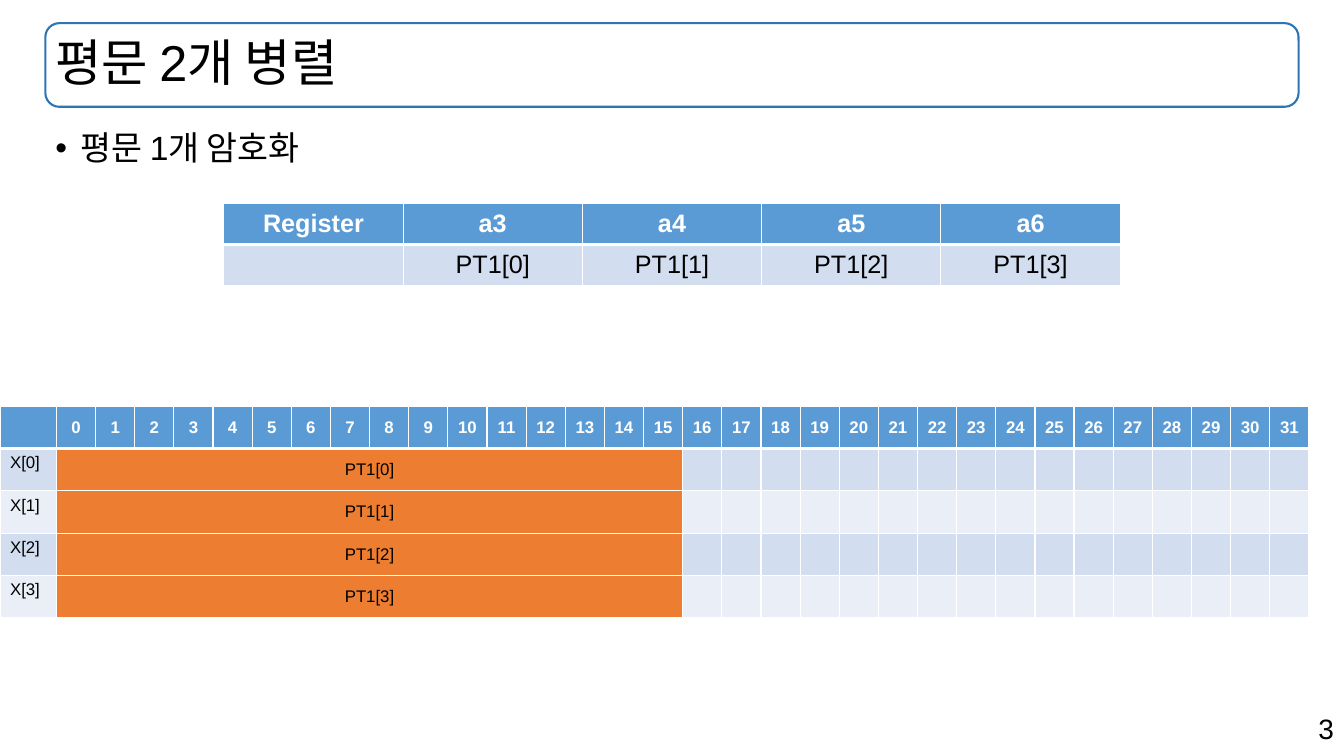
from lxml.etree import SubElement
from pptx import Presentation
from pptx.dml.color import RGBColor
from pptx.enum.shapes import MSO_SHAPE as Preset
from pptx.enum.text import MSO_ANCHOR as Anchor, MSO_AUTO_SIZE as AutoSize, PP_ALIGN as Align
from pptx.oxml.ns import qn
from pptx.util import Inches, Pt

BLACK = RGBColor(0x00, 0x00, 0x00)
WHITE = RGBColor(0xFF, 0xFF, 0xFF)
FRAME_BLUE = RGBColor(0x2E, 0x75, 0xB6)
HEADER_BLUE = RGBColor(0x5B, 0x9B, 0xD5)
BAND_DARK = RGBColor(0xD2, 0xDE, 0xEF)
BAND_LIGHT = RGBColor(0xEA, 0xEF, 0xF7)
PLAINTEXT_ORANGE = RGBColor(0xED, 0x7D, 0x31)

TITLE_BOX = (0.45, 0.23, 12.43, 0.83)
WORDS = 4
BYTES = 32
BLOCK_BYTES = 16


def write(frame, text, size, color=BLACK, bold=False, align=Align.LEFT,
          line_spacing=None, bullet=None, font="Arial"):
    paragraph = frame.paragraphs[0]
    paragraph.alignment = align
    paragraph.line_spacing = line_spacing
    if bullet:
        properties = paragraph._p.get_or_add_pPr()
        properties.set("marL", str(Inches(0.25)))
        properties.set("indent", str(-Inches(0.25)))
        SubElement(properties, qn("a:buFont"), typeface=font)
        SubElement(properties, qn("a:buChar"), char=bullet)
    run = paragraph.add_run()
    run.text = text
    run.font.name = font
    run.font.size = Pt(size)
    run.font.bold = bold
    run.font.color.rgb = color


def add_borders(cell, top, bottom):
    """Draw white borders, one point wide at the sides."""
    properties = cell._tc.get_or_add_tcPr()
    for side, points in (("L", 1), ("R", 1), ("T", top), ("B", bottom)):
        line = SubElement(properties, qn(f"a:ln{side}"), w=str(Pt(points)))
        fill = SubElement(line, qn("a:solidFill"))
        SubElement(fill, qn("a:srgbClr"), val=str(WHITE))


class SlideBuilder:
    def __init__(self, slide):
        self.slide = slide

    def text(self, box, text, size, anchor=Anchor.TOP, grow=False, **style):
        frame = self.slide.shapes.add_textbox(*map(Inches, box)).text_frame
        frame.word_wrap = True
        frame.vertical_anchor = anchor
        frame.auto_size = AutoSize.SHAPE_TO_FIT_TEXT if grow else AutoSize.NONE
        write(frame, text, size, **style)

    def rounded_frame(self, box):
        shape = self.slide.shapes.add_shape(Preset.ROUNDED_RECTANGLE, *map(Inches, box))
        shape.shadow.inherit = False
        shape.fill.background()
        shape.line.color.rgb = FRAME_BLUE
        shape.line.width = Pt(1.5)

    def table(self, box, rows, widths):
        """Add a banded table with a header row and white grid lines."""
        table = self.slide.shapes.add_table(
            len(rows), len(widths), *map(Inches, box)).table
        for column, width in zip(table.columns, widths):
            column.width = Inches(width)
        for index, row in enumerate(table.rows):
            row.height = Inches(box[3] / len(rows))
            band = BAND_DARK if index % 2 else BAND_LIGHT
            for cell in row.cells:
                add_borders(cell, top=3 if index == 1 else 1, bottom=1 if index else 3)
                cell.fill.solid()
                cell.fill.fore_color.rgb = band if index else HEADER_BLUE
        return table

    def cell(self, cell, text, size, header=False, centered=True):
        if centered:
            cell.vertical_anchor = Anchor.MIDDLE
        write(cell.text_frame, text, size, color=WHITE if header else BLACK,
              bold=header, align=Align.CENTER if centered else Align.LEFT)

    def register_table(self):
        rows = [["Register"] + [f"a{word + 3}" for word in range(WORDS)],
                [""] + [f"PT1[{word}]" for word in range(WORDS)]]
        table = self.table((2.22, 2.02, 8.89, 0.81), rows, [8.89 / 5] * 5)
        for row_index, row in enumerate(rows):
            for column_index, text in enumerate(row):
                if text:
                    self.cell(table.cell(row_index, column_index), text, 18,
                              header=row_index == 0)

    def state_table(self):
        label_width, total_width = 0.56, 12.99
        byte_width = (total_width - label_width) / BYTES
        table = self.table((0, 4.03, total_width, 2.1), range(WORDS + 1),
                           [label_width] + [byte_width] * BYTES)
        for byte in range(BYTES):
            self.cell(table.cell(0, byte + 1), str(byte), 12, header=True)
        for word in range(WORDS):
            row = word + 1
            self.cell(table.cell(row, 0), f"X[{word}]", 12, centered=False)
            block = table.cell(row, 1)
            block.merge(table.cell(row, BLOCK_BYTES))
            block.fill.fore_color.rgb = PLAINTEXT_ORANGE
            self.cell(block, f"PT1[{word}]", 12)


def main():
    presentation = Presentation()
    presentation.slide_width = Inches(13.33)
    presentation.slide_height = Inches(7.5)
    builder = SlideBuilder(presentation.slides.add_slide(presentation.slide_layouts[6]))
    builder.text((9.43, 7.01, 3.9, 0.44), "3", 20, grow=True, align=Align.RIGHT)
    builder.rounded_frame(TITLE_BOX)
    builder.text(TITLE_BOX, "평문 2개 병렬", 36, anchor=Anchor.MIDDLE, line_spacing=0.9)
    builder.text((0.45, 1.26, 12.43, 5.53), "평문 1개 암호화", 24,
                 line_spacing=0.9, bullet="•")
    builder.register_table()
    builder.state_table()
    presentation.save("out.pptx")


if __name__ == "__main__":
    main()
